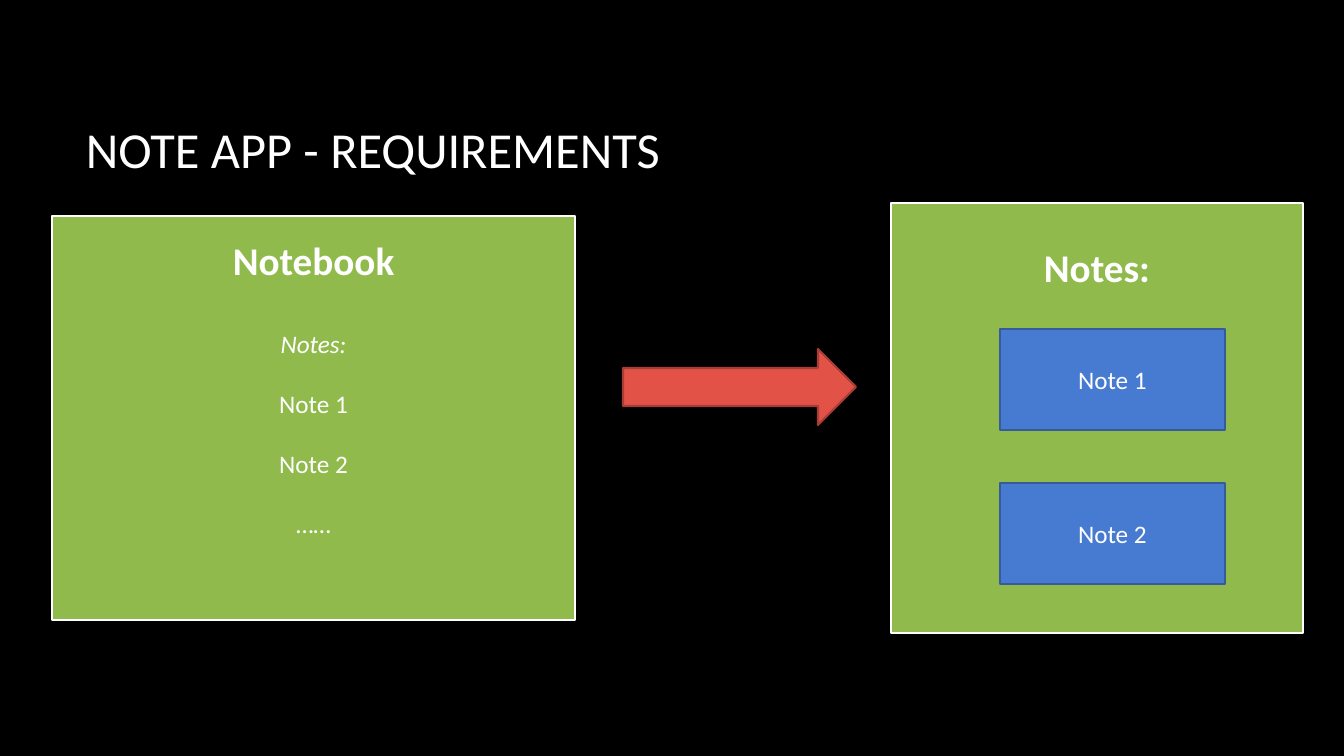
from pptx import Presentation
from pptx.dml.color import RGBColor
from pptx.enum.shapes import MSO_SHAPE as Shape
from pptx.enum.text import MSO_ANCHOR as Anchor, PP_ALIGN as Align
from pptx.util import Emu, Pt

EMU_PER_PX = 914400 / 100.8
COLORS = {
    "background": "000000",
    "text": "FFFFFF",
    "panel": "90BA4C",
    "panel_line": "FFFFFF",
    "arrow": "E25247",
    "arrow_line": "A73D35",
    "note": "477BD1",
    "note_line": "355B9B",
}


def px(length):
    return Emu(round(length * EMU_PER_PX))


def color(name):
    return RGBColor.from_string(COLORS[name])


class SlideBuilder:
    font = "Calibri"

    def __init__(self, slide):
        self.slide = slide
        fill = slide.background.fill
        fill.solid()
        fill.fore_color.rgb = color("background")

    def set_lines(self, frame, lines, align=Align.CENTER, anchor=Anchor.MIDDLE):
        """Each line is (text, size, bold, italic, gap above in px)."""
        frame.word_wrap = True
        frame.vertical_anchor = anchor
        for index, (text, size, bold, italic, gap) in enumerate(lines):
            line = frame.add_paragraph() if index else frame.paragraphs[0]
            line.text = text
            line.alignment = align
            line.space_before = px(gap)
            line.font.name = self.font
            line.font.size = Pt(size)
            line.font.bold = bold
            line.font.italic = italic
            line.font.color.rgb = color("text")

    def title(self, box, text):
        heading = self.slide.shapes.add_textbox(*map(px, box))
        self.set_lines(heading.text_frame, [(text, 36, False, False, 0)], Align.LEFT)

    def shape(self, kind, box, style, line_width):
        shape = self.slide.shapes.add_shape(kind, *map(px, box))
        shape.shadow.inherit = False
        shape.fill.solid()
        shape.fill.fore_color.rgb = color(style)
        shape.line.color.rgb = color(style + "_line")
        shape.line.width = Pt(line_width)
        return shape

    def panel(self, box, heading, inset, lines=()):
        frame = self.shape(Shape.RECTANGLE, box, "panel", 2).text_frame
        frame.margin_top = px(inset)
        self.set_lines(frame, [(heading, 28, True, False, 0), *lines], anchor=Anchor.TOP)

    def note(self, box, text):
        frame = self.shape(Shape.RECTANGLE, box, "note", 1.5).text_frame
        self.set_lines(frame, [(text, 18, False, False, 0)])

    def arrow(self, box):
        self.shape(Shape.RIGHT_ARROW, box, "arrow", 1.5)


def main():
    deck = Presentation()
    deck.slide_width, deck.slide_height = px(1344), px(756)
    builder = SlideBuilder(deck.slides.add_slide(deck.slide_layouts[6]))
    notes = ["Note 1", "Note 2"]

    builder.title((76, 68, 1117, 160), "NOTE APP - REQUIREMENTS")
    contents = [("Notes:", 18, False, True, 45)]
    contents += [(text, 18, False, False, 30) for text in [*notes, "……"]]
    builder.panel((52, 216, 523, 404), "Notebook", 20, contents)
    builder.arrow((623, 349, 233, 76))
    builder.panel((891, 203, 412, 430), "Notes:", 40)
    for row, text in enumerate(notes):
        builder.note((1000, 329 + 154 * row, 225, 101), text)

    deck.save("out.pptx")


if __name__ == "__main__":
    main()
